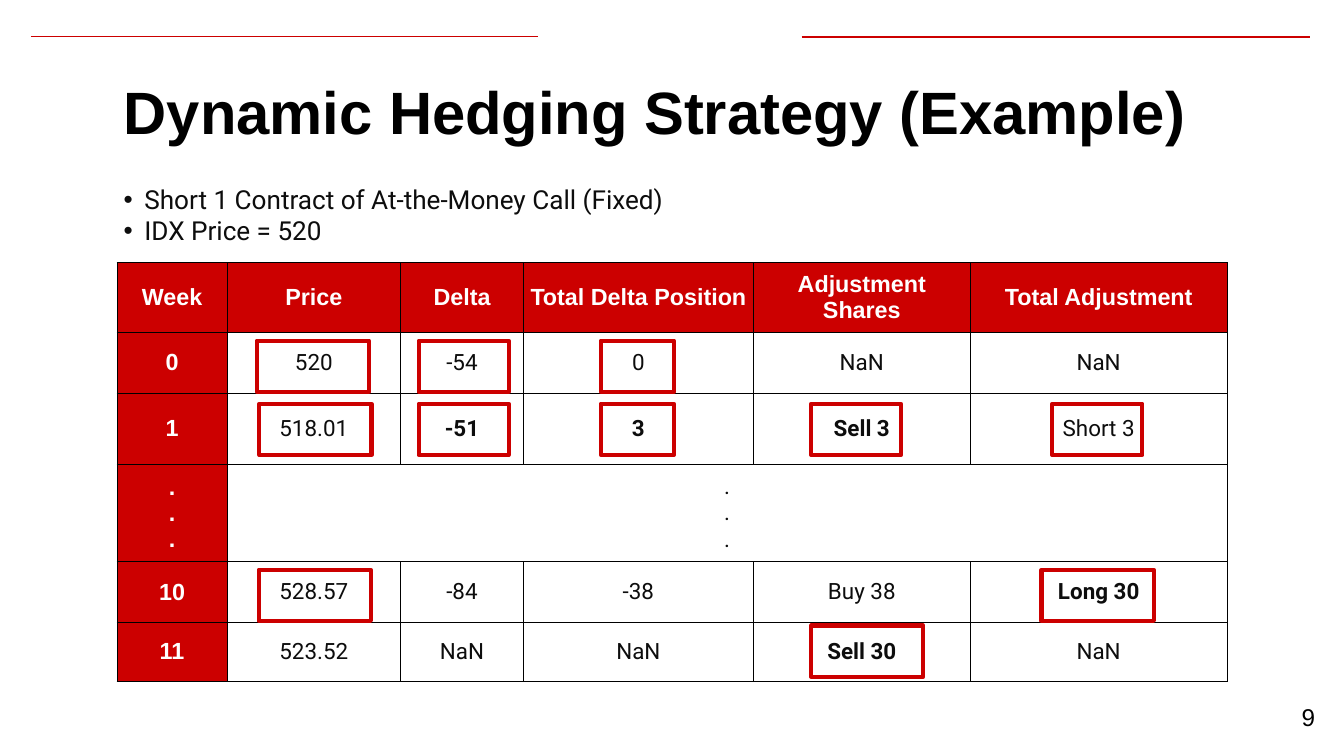
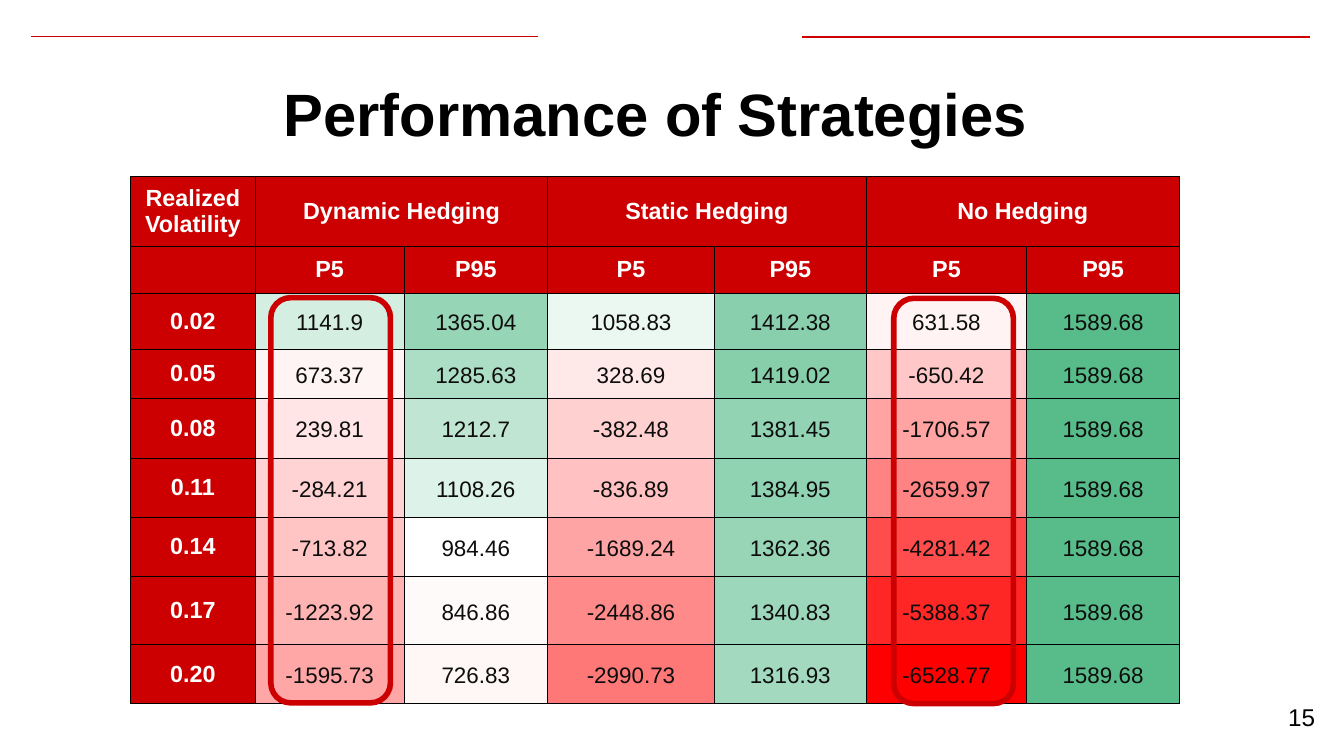
from math import ceil

from lxml.etree import SubElement
from pptx import Presentation
from pptx.dml.color import RGBColor
from pptx.enum.shapes import MSO_CONNECTOR, MSO_SHAPE
from pptx.enum.text import MSO_ANCHOR, MSO_AUTO_SIZE, PP_ALIGN
from pptx.oxml import parse_xml
from pptx.oxml.ns import nsdecls, qn
from pptx.util import Pt

SCALE = 9144  # EMU per px, 100 px to the inch
COLORS = {"red": "CC0000", "black": "000000", "ink": "0D0D0D", "white": "FFFFFF"}

# Text styles: font, size, colour, bold
TITLE = ("Arial", 64, "black", True)
PAGE = ("Arial", 26, "black", False)
BULLET = ("Roboto", 28, "ink", False)
HEAD = ("Arial", 25, "white", True)
BODY = ("Roboto", 24, "ink", False)
BODY_BOLD = ("Roboto", 24, "ink", True)
HEAT = ("Arial", 24, "ink", False)

HEDGE_COLS = [164, 258, 183, 342, 323, 382]
HEDGE_ROWS = [104, 90, 106, 138, 90, 88]
DOTS = ".\n.\n."
HEDGE = [
    ["Week", "Price", "Delta", "Total Delta Position", "Adjustment Shares",
     "Total Adjustment"],
    ["0", "520", "-54", "0", "NaN", "NaN"],
    ["1", "518.01", "-51", "3", "Sell 3", "Short 3"],
    [DOTS, DOTS, "", "", "", ""],
    ["10", "528.57", "-84", "-38", "Buy 38", "Long 30"],
    ["11", "523.52", "NaN", "NaN", "Sell 30", "NaN"],
]
BOLD_CELLS = {"-51", "3", "Sell 3", "Long 30", "Sell 30"}
# Marked values: row top, then left and width of each frame in that row
HEDGE_MARKS = {
    116: [(208, 167), (449, 134), (720, 109)],
    210: [(212, 167), (449, 134), (720, 109), (1033, 134), (1392, 134)],
    457: [(211, 167), (1376, 167)],
    540: [(1033, 167)],
}

PERF_COLS = [186, 221, 214, 248, 226, 239, 227]
PERF_ROWS = [96, 70, 83, 74, 88, 88, 88, 102, 88]
STRATEGIES = ["Dynamic Hedging", "Static Hedging", "No Hedging"]
NO_HEDGE_P95 = 1589.68
RESULTS = {
    "0.02": [1141.9, 1365.04, 1058.83, 1412.38, 631.58],
    "0.05": [673.37, 1285.63, 328.69, 1419.02, -650.42],
    "0.08": [239.81, 1212.7, -382.48, 1381.45, -1706.57],
    "0.11": [-284.21, 1108.26, -836.89, 1384.95, -2659.97],
    "0.14": [-713.82, 984.46, -1689.24, 1362.36, -4281.42],
    "0.17": [-1223.92, 846.86, -2448.86, 1340.83, -5388.37],
    "0.20": [-1595.73, 726.83, -2990.73, 1316.93, -6528.77],
}
# Heat scale: red at the lowest value, white in the middle, green at the top
LOW, MID, HIGH = -6528.77, 984.46, NO_HEDGE_P95
GREEN = (0x57, 0xBB, 0x8A)


def px(*values):
    return [v * SCALE for v in values]


def rgb(name):
    return RGBColor.from_string(COLORS[name])


def write(tf, text, style, align=PP_ALIGN.LEFT, spacing=None):
    """Write one paragraph per line of text, each as a styled run."""
    font, size, color, bold = style
    for i, line in enumerate(text.split("\n")):
        p = tf.add_paragraph() if i else tf.paragraphs[0]
        p.alignment = align
        if spacing:
            p.line_spacing = spacing
        r = p.add_run()
        r.text = line
        r.font.name, r.font.size, r.font.bold = font, Pt(size), bold
        r.font.color.rgb = rgb(color)


def set_insets(box, x, y):
    box.margin_left = box.margin_right = x * SCALE
    box.margin_top = box.margin_bottom = y * SCALE


def add_rules(slide):
    for x1, x2, y in ((46, 801, 54), (1193, 1949, 55)):
        line = slide.shapes.add_connector(MSO_CONNECTOR.STRAIGHT, *px(x1, y, x2, y))
        line.line.color.rgb = rgb("red")
        line.line.width = Pt(1.5)
        SubElement(line._element.spPr, qn("a:effectLst"))


def add_page_number(slide, number):
    tf = slide.shapes.add_textbox(*px(1857, 1024, 120, 86)).text_frame
    tf.word_wrap = True
    tf.vertical_anchor = MSO_ANCHOR.MIDDLE
    set_insets(tf, 20, 20)
    write(tf, str(number), PAGE, PP_ALIGN.RIGHT)


def new_slide(prs, title, box, insets, align, anchor, number):
    """Start a slide with the shared rules, title style and page number."""
    slide = prs.slides.add_slide(prs.slide_layouts[5])
    add_rules(slide)
    sp = slide.shapes.title
    sp.left, sp.top, sp.width, sp.height = px(*box)
    tf = sp.text_frame
    tf.word_wrap = True
    tf.auto_size = MSO_AUTO_SIZE.NONE
    tf.vertical_anchor = anchor
    set_insets(tf, *insets)
    write(tf, title, TITLE, align)
    add_page_number(slide, number)
    return slide


def add_bullets(slide, box, text):
    tf = slide.shapes.add_textbox(*px(*box)).text_frame
    tf.word_wrap = False
    write(tf, text, BULLET)
    for p in tf.paragraphs:
        pPr = p._p.get_or_add_pPr()
        pPr.set("marL", str(31 * SCALE))
        pPr.set("indent", str(-31 * SCALE))
        SubElement(pPr, qn("a:buFont"), typeface="Arial")
        SubElement(pPr, qn("a:buChar"), char="•")


def add_grid(slide, left, top, cols, rows):
    """Add an unstyled table with the given column widths and row heights."""
    frame = slide.shapes.add_table(
        len(rows), len(cols), *px(left, top, sum(cols), sum(rows)))
    table = frame.table
    table.first_row = table.horz_banding = False
    for col, width in zip(table.columns, cols):
        col.width = width * SCALE
    for row, height in zip(table.rows, rows):
        row.height = height * SCALE
    return table


def fill_cell(cell, text, style, fill=None, insets=(10, 10), spacing=None):
    cell.vertical_anchor = MSO_ANCHOR.MIDDLE
    set_insets(cell, *insets)
    if fill:
        cell.fill.solid()
        cell.fill.fore_color.rgb = RGBColor.from_string(fill)
    else:
        cell.fill.background()
    if text:
        write(cell.text_frame, text, style, PP_ALIGN.CENTER, spacing)
    # Thin black border on all four sides
    tcPr = cell._tc.get_or_add_tcPr()
    for i, side in enumerate(("lnL", "lnR", "lnT", "lnB")):
        tcPr.insert(i, parse_xml(
            f'<a:{side} {nsdecls("a")} w="{Pt(0.75)}"><a:solidFill>'
            f'<a:srgbClr val="{COLORS["black"]}"/></a:solidFill></a:{side}>'))


def add_mark(slide, shape, box, weight):
    sp = slide.shapes.add_shape(shape, *px(*box))
    sp.shadow.inherit = False
    sp.fill.background()
    sp.line.color.rgb = rgb("red")
    sp.line.width = Pt(weight)
    SubElement(sp._element.spPr.find(qn("a:ln")), qn("a:round"))


def heat_color(value):
    if value > MID:
        share = (value - MID) / (HIGH - MID)
        channels = [255 - int((255 - c) * share) for c in GREEN]
    else:
        fade = 255 - ceil(255 * (MID - value) / (MID - LOW))
        channels = [255, fade, fade]
    return "".join(f"{c:02X}" for c in channels)


def hedge_table(slide, left, top):
    table = add_grid(slide, left, top, HEDGE_COLS, HEDGE_ROWS)
    for i, row in enumerate(HEDGE):
        for j, text in enumerate(row):
            cell = table.cell(i, j)
            if i == 0 or j == 0:
                fill_cell(cell, text, HEAD, COLORS["red"])
            else:
                fill_cell(cell, text, BODY_BOLD if text in BOLD_CELLS else BODY)
    table.cell(3, 1).merge(table.cell(3, 5))
    # Frames around the values under discussion
    for y, frames in HEDGE_MARKS.items():
        for x, width in frames:
            add_mark(slide, MSO_SHAPE.RECTANGLE, (left + x, top + y, width, 76), 4.5)


def performance_table(slide, left, top):
    table = add_grid(slide, left, top, PERF_COLS, PERF_ROWS)
    # Two header rows
    names = ["Realized\nVolatility"]
    for name in STRATEGIES:
        names += [name, ""]
    for i, row in enumerate((names, [""] + ["P5", "P95"] * len(STRATEGIES))):
        for j, text in enumerate(row):
            fill_cell(table.cell(i, j), text, HEAD, COLORS["red"])
    for j in range(1, len(PERF_COLS), 2):
        table.cell(0, j).merge(table.cell(0, j + 1))
    # Heat map
    for i, (volatility, values) in enumerate(RESULTS.items(), 2):
        fill_cell(table.cell(i, 0), volatility, HEAD, COLORS["red"])
        for j, value in enumerate(values + [NO_HEDGE_P95], 1):
            fill_cell(table.cell(i, j), str(value), HEAT, heat_color(value), (3, 2), 1.15)
    # Frames around the P5 columns being compared
    for x, y in ((1136, 181), (209, 180)):
        add_mark(slide, MSO_SHAPE.ROUNDED_RECTANGLE, (left + x, top + y, 178, 603), 6)


def hedging_slide(prs):
    slide = new_slide(prs, "Dynamic Hedging Strategy (Example)", (174, 111, 1652, 108),
                      (10, 0), PP_ALIGN.LEFT, MSO_ANCHOR.MIDDLE, 9)
    add_bullets(slide, (174, 268, 829, 104),
                "Short 1 Contract of At-the-Money Call (Fixed)\nIDX Price = 520")
    hedge_table(slide, 174, 391)


def performance_slide(prs):
    slide = new_slide(prs, "Performance of Strategies", (43, 94, 1864, 137),
                      (20, 20), PP_ALIGN.CENTER, MSO_ANCHOR.TOP, 15)
    performance_table(slide, 194, 263)


def main():
    prs = Presentation()
    prs.slide_width, prs.slide_height = px(2000, 1125)
    hedging_slide(prs)
    performance_slide(prs)
    prs.save("out.pptx")


if __name__ == "__main__":
    main()
